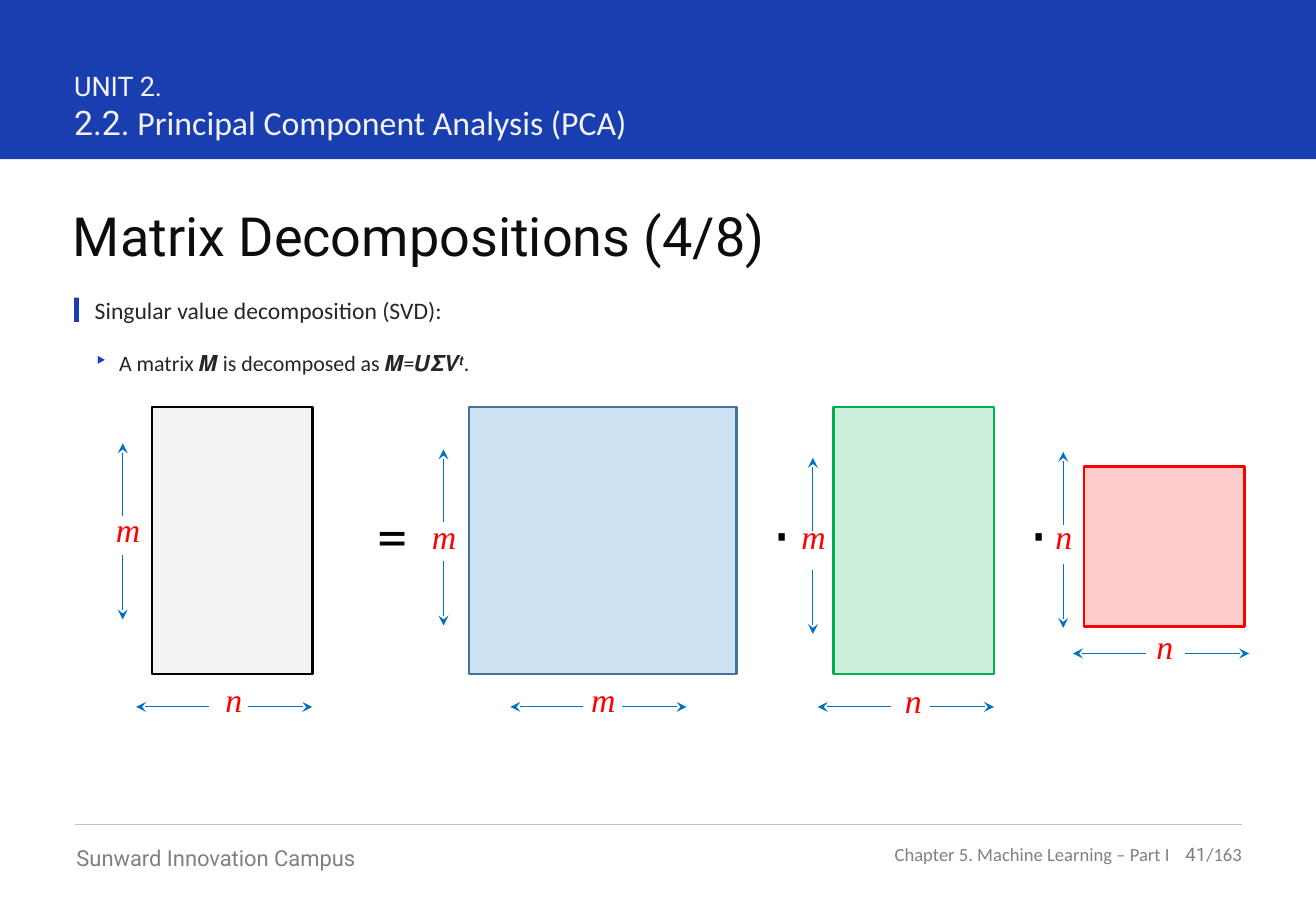
from lxml import etree
from pptx import Presentation
from pptx.dml.color import RGBColor
from pptx.enum.shapes import MSO_CONNECTOR, MSO_SHAPE
from pptx.enum.text import MSO_ANCHOR, PP_ALIGN
from pptx.oxml.ns import qn
from pptx.util import Inches, Pt

RECT = MSO_SHAPE.RECTANGLE
LINE = MSO_CONNECTOR.STRAIGHT
LEFT, MID, RIGHT = PP_ALIGN.LEFT, PP_ALIGN.CENTER, PP_ALIGN.RIGHT
TOP, CENTER = MSO_ANCHOR.TOP, MSO_ANCHOR.MIDDLE

BLUE, ARROW, RED, GREY = "193EB0", "0070C0", "FF0000", "808080"
INSET = (0.1, 0.05, 0.1, 0.05)
SIGN = dict(size=36, color="000000", align=MID, inset=INSET)
SIZE = dict(size=20, font="Times New Roman", color=RED, italic=True,
            align=MID, inset=INSET)


def rgb(code):
    return RGBColor.from_string(code)


def add_rect(slide, box, fill, edge=None, alpha=None):
    shape = slide.shapes.add_shape(RECT, *map(Inches, box))
    shape.shadow.inherit = False
    shape.fill.solid()
    shape.fill.fore_color.rgb = rgb(fill)
    if alpha:
        tint = shape.fill._xPr.find(".//" + qn("a:srgbClr"))
        etree.SubElement(tint, qn("a:alpha"), val=str(alpha * 1000))
    if edge:
        shape.line.color.rgb = rgb(edge)
        shape.line.width = Pt(1.5)
    else:
        shape.line.fill.background()


def add_line(slide, start, end, color, head=False):
    line = slide.shapes.add_connector(LINE, *map(Inches, start + end))
    line.line.color.rgb = rgb(color)
    line.line.width = Pt(0.5)
    if head:
        etree.SubElement(line.line._get_or_add_ln(), qn("a:tailEnd"),
                         type="stealth")
    etree.SubElement(line._element.spPr, qn("a:effectLst"))


def add_bullet(para, mark, color, indent):
    props = para._p.get_or_add_pPr()
    props.set("marL", str(Inches(indent)))
    props.set("indent", str(-Inches(indent)))
    tint = etree.SubElement(props, qn("a:buClr"))
    etree.SubElement(tint, qn("a:srgbClr"), val=color)
    etree.SubElement(props, qn("a:buChar"), char=mark)


def add_text(slide, box, lines, size=13, font="Calibri", color=GREY,
             italic=False, align=LEFT, anchor=TOP, inset=(0, 0, 0, 0),
             wrap=True, bullet=None):
    """Lines are a string, or lists of (text, changed format) runs."""
    frame = slide.shapes.add_textbox(*map(Inches, box)).text_frame
    frame.word_wrap = wrap
    frame.vertical_anchor = anchor
    (frame.margin_left, frame.margin_top,
     frame.margin_right, frame.margin_bottom) = map(Inches, inset)
    if isinstance(lines, str):
        lines = [[(lines, {})]]
    for i, runs in enumerate(lines):
        para = frame.add_paragraph() if i else frame.paragraphs[0]
        para.alignment = align
        if bullet:
            add_bullet(para, bullet, BLUE, 0.2)
        for words, change in runs:
            run = para.add_run()
            run.text = words
            run.font.size = Pt(change.get("size", size))
            run.font.name = change.get("font", font)
            run.font.color.rgb = rgb(color)
            run.font.italic = italic
            if "base" in change:
                run.font._element.set("baseline", str(change["base"] * 1000))


def add_span(slide, x, y, name, label, down=False):
    """Two arrows leaving a gap from (x, y), with a label box at label."""
    for near, far in ((0, -0.6), (0.32, 0.85)):
        ends = [(x, y + d) if down else (x + d, y) for d in (near, far)]
        add_line(slide, *ends, ARROW, head=True)
    add_text(slide, (*label, 1.05, 0.49), name, **SIZE)


def add_frame(slide):
    # Header band and footer
    add_rect(slide, (0, 0, 10.83, 1.31), BLUE)
    add_text(slide, (0.61, 0.57, 6.37, 0.61),
             [[("UNIT 2.", {"size": 16})],
              [("2.2.", {}),
               (" Principal Component Analysis (PCA)", {"font": "Calibri"})]],
             size=20, font="Roboto", color="F2F2F2")
    add_line(slide, (0.62, 6.79), (10.22, 6.79), "BFBFBF")
    add_text(slide, (0.63, 6.95, 3.16, 0.22), "Sunward Innovation Campus",
             font="Roboto")
    add_text(slide, (7.16, 6.94, 2.47, 0.19),
             "Chapter 5. Machine Learning – Part I",
             size=11, align=RIGHT, anchor=CENTER, wrap=False)
    add_text(slide, (9.63, 6.94, 0.59, 0.19),
             [[("41", {"font": "Roboto"}), ("/163", {})]],
             size=11, align=RIGHT, anchor=CENTER)


def add_body(slide):
    # Title and points
    add_text(slide, (0.6, 1.67, 9.62, 0.54), "Matrix Decompositions (4/8)",
             size=32, font="Roboto", color="0D0D0D")
    add_rect(slide, (0.61, 2.45, 0.04, 0.2), BLUE)
    add_text(slide, (0.78, 2.44, 9.44, 0.24),
             "Singular value decomposition (SVD):", size=14, color="262626")
    add_text(slide, (0.78, 2.8, 9.44, 0.38),
             [[("A matrix 𝑴 is decomposed as 𝑴=𝑼𝜮𝑽", {}),
               ("𝒕", {"base": 30}), (".", {})]],
             color="262626", inset=(0, 0.08, 0.16, 0.08), bullet="‣")


def add_matrices(slide):
    # Matrices M, U, Σ and V
    long, short = 2.2, 1.32
    add_rect(slide, (1.25, 3.35, short, long), "F2F2F2", "000000")
    add_rect(slide, (3.86, 3.35, long, long), ARROW, "43739E", 20)
    add_rect(slide, (6.86, 3.35, short, long), "00B050", "00B050", 20)
    add_rect(slide, (8.92, 3.84, short, short), RED, RED, 20)

    # Signs between them
    for x, sign in ((2.71, "="), (5.91, "⋅"), (8.03, "⋅")):
        add_text(slide, (x, 4.05, 1.05, 0.79), sign, **SIGN)

    # Heights
    for x, y, name, label in ((1.01, 4.25, "m", (0.53, 4.14)),
                              (3.65, 4.3, "m", (3.13, 4.2)),
                              (6.69, 4.37, "m", (6.17, 4.2)),
                              (8.75, 4.32, "n", (8.23, 4.2))):
        add_span(slide, x, y, name, label, down=True)

    # Widths
    for x, y, name, label in ((1.72, 5.82, "n", (1.4, 5.54)),
                              (4.8, 5.82, "m", (4.44, 5.54)),
                              (7.33, 5.82, "n", (6.99, 5.55)),
                              (9.43, 5.38, "n", (9.06, 5.1))):
        add_span(slide, x, y, name, label)


def main():
    deck = Presentation()
    deck.slide_width, deck.slide_height = Inches(10.83), Inches(7.5)
    slide = deck.slides.add_slide(deck.slide_layouts[6])
    add_frame(slide)
    add_body(slide)
    add_matrices(slide)
    deck.save("out.pptx")


if __name__ == "__main__":
    main()
